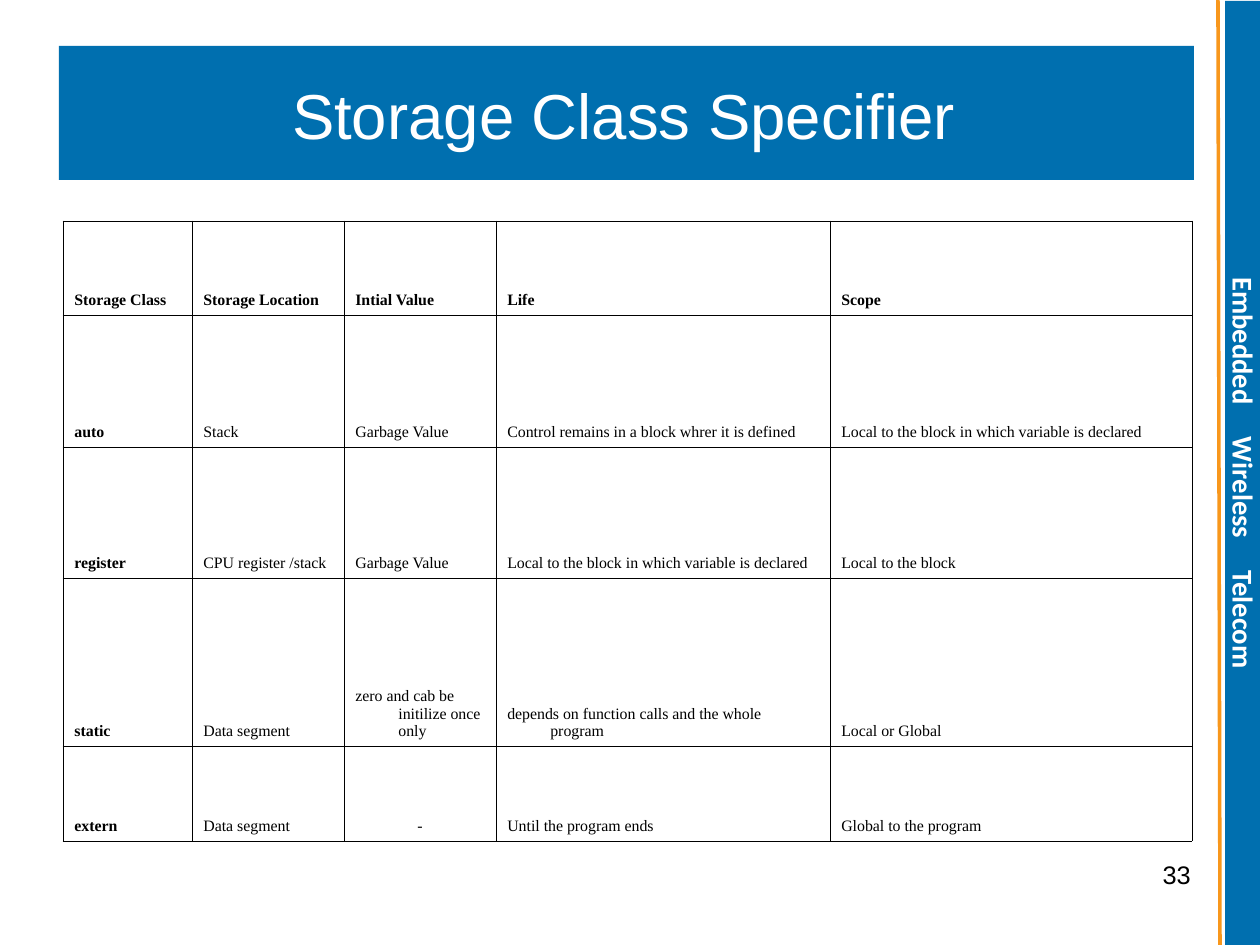
import dataclasses

import lxml.etree
import pptx
import pptx.dml.color
import pptx.enum.shapes
import pptx.enum.text
import pptx.oxml
import pptx.oxml.ns
import pptx.util

PX = 8000
COLORS = {"blue": "006FAF", "orange": "F8971C", "white": "FFFFFF", "black": "000000"}
ALIGN = pptx.enum.text.PP_ALIGN
ANCHOR = pptx.enum.text.MSO_ANCHOR


@dataclasses.dataclass(frozen=True)
class Box:
    left: int
    top: int
    width: int
    height: int

    def emu(self) -> tuple[int, int, int, int]:
        return tuple(px(v) for v in dataclasses.astuple(self))


@dataclasses.dataclass(frozen=True)
class Style:
    size: int
    font: str
    color: str
    bold: bool = False


@dataclasses.dataclass(frozen=True)
class StorageClass:
    height: int
    cells: tuple[str, ...]


SLIDE = Box(0, 0, 1260, 945)
BAND = Box(59, 46, 1135, 134)
SIDEBAR = Box(772, 454, 944, 38)
TITLE = Box(75, 37, 1097, 154)
NUMBER = Box(1038, 854, 164, 56)
TABLE = Box(63, 221, 1129, 620)
COLUMNS = (129, 152, 152, 334, 362)
HANGING = 43
WORD_GAP = 1630

TITLE_STYLE = Style(40, "Arial", "white")
SIDEBAR_STYLE = Style(18, "Calibri", "white", True)
NUMBER_STYLE = Style(16, "Arial", "black")
CELL_STYLE = Style(10, "Times New Roman", "black")
HEAD_STYLE = dataclasses.replace(CELL_STYLE, bold=True)

ROWS = (
    StorageClass(94, ("Storage Class", "Storage Location", "Intial Value", "Life", "Scope")),
    StorageClass(132, ("auto", "Stack", "Garbage Value",
                       "Control remains in a block whrer it is defined",
                       "Local to the block in which variable is declared")),
    StorageClass(131, ("register", "CPU register /stack", "Garbage Value",
                       "Local to the block in which variable is declared",
                       "Local to the block")),
    StorageClass(168, ("static", "Data segment", "zero and cab be initilize once only",
                       "depends on function calls and the whole program",
                       "Local or Global")),
    StorageClass(95, ("extern", "Data segment", "-",
                      "Until the program ends", "Global to the program")),
)


def px(value: int) -> int:
    return pptx.util.Emu(value * PX)


def rgb(name: str) -> pptx.dml.color.RGBColor:
    return pptx.dml.color.RGBColor.from_string(COLORS[name])


def add_run(p, text: str, style: Style):
    r = p.add_run()
    r.text = text
    r.font.size = pptx.util.Pt(style.size)
    r.font.name = style.font
    r.font.bold = style.bold
    r.font.color.rgb = rgb(style.color)
    return r


def add_rect(s, box: Box):
    sp = s.shapes.add_shape(pptx.enum.shapes.MSO_SHAPE.RECTANGLE, *box.emu())
    sp.shadow.inherit = False
    sp.fill.solid()
    sp.fill.fore_color.rgb = rgb("blue")
    sp.line.fill.background()
    return sp


def add_sidebar(s) -> None:
    sp = add_rect(s, SIDEBAR)
    sp.rotation = 90
    tf = sp.text_frame
    tf.word_wrap = False
    tf.vertical_anchor = ANCHOR.MIDDLE
    p = tf.paragraphs[0]
    p.alignment = ALIGN.CENTER
    for i, word in enumerate(("Embedded", "Wireless", "Telecom")):
        if i:
            gap = add_run(p, " ", SIDEBAR_STYLE)
            gap.font._element.set("spc", str(WORD_GAP))
        add_run(p, word, SIDEBAR_STYLE)


def add_rule(s) -> None:
    line = s.shapes.add_connector(
        pptx.enum.shapes.MSO_CONNECTOR.STRAIGHT, px(1218), 0, px(1220), px(SLIDE.height))
    line.line.color.rgb = rgb("orange")
    line.line.width = pptx.util.Pt(2.25)
    lxml.etree.SubElement(line.element.spPr, pptx.oxml.ns.qn("a:effectLst"))


def add_title(s) -> None:
    sp = s.shapes.title
    sp.left, sp.top, sp.width, sp.height = TITLE.emu()
    tf = sp.text_frame
    tf.word_wrap = True
    tf.auto_size = pptx.enum.text.MSO_AUTO_SIZE.NONE
    tf.vertical_anchor = ANCHOR.MIDDLE
    tf.margin_left = tf.margin_right = tf.margin_top = tf.margin_bottom = 0
    p = tf.paragraphs[0]
    p.alignment = ALIGN.CENTER
    add_run(p, "Storage Class Specifier", TITLE_STYLE)


def add_number(s) -> None:
    tf = s.shapes.add_textbox(*NUMBER.emu()).text_frame
    tf.word_wrap = True
    p = tf.paragraphs[0]
    p.alignment = ALIGN.RIGHT
    add_run(p, "33", NUMBER_STYLE)


def add_borders(cell) -> None:
    tc_pr = cell._tc.get_or_add_tcPr()
    for i, side in enumerate(("lnL", "lnR", "lnT", "lnB")):
        tc_pr.insert(i, pptx.oxml.parse_xml(
            f'<a:{side} {pptx.oxml.ns.nsdecls("a")} w="{pptx.util.Pt(0.45)}">'
            f'<a:solidFill><a:srgbClr val="{COLORS["black"]}"/></a:solidFill></a:{side}>'))


def fill_cell(cell, text: str, style: Style) -> None:
    cell.fill.background()
    add_borders(cell)
    cell.vertical_anchor = ANCHOR.BOTTOM
    p = cell.text_frame.paragraphs[0]
    p.alignment = ALIGN.CENTER if text == "-" else ALIGN.LEFT
    p_pr = p._p.get_or_add_pPr()
    p_pr.set("marL", str(px(HANGING)))
    p_pr.set("indent", str(-px(HANGING)))
    add_run(p, text, style)


def add_storage_table(s) -> None:
    table = s.shapes.add_table(len(ROWS), len(COLUMNS), *TABLE.emu()).table
    table.first_row = table.horz_banding = False
    for column, width in zip(table.columns, COLUMNS):
        column.width = px(width)
    for i, row in enumerate(ROWS):
        table.rows[i].height = px(row.height)
        for j, text in enumerate(row.cells):
            fill_cell(table.cell(i, j), text, HEAD_STYLE if i == 0 or j == 0 else CELL_STYLE)


def main() -> None:
    prs = pptx.Presentation()
    prs.slide_width, prs.slide_height = px(SLIDE.width), px(SLIDE.height)
    s = prs.slides.add_slide(prs.slide_layouts[5])
    add_title(s)
    band = add_rect(s, BAND)
    s.shapes.title.element.addprevious(band.element)
    add_sidebar(s)
    add_rule(s)
    add_number(s)
    add_storage_table(s)
    prs.save("out.pptx")


if __name__ == "__main__":
    main()
